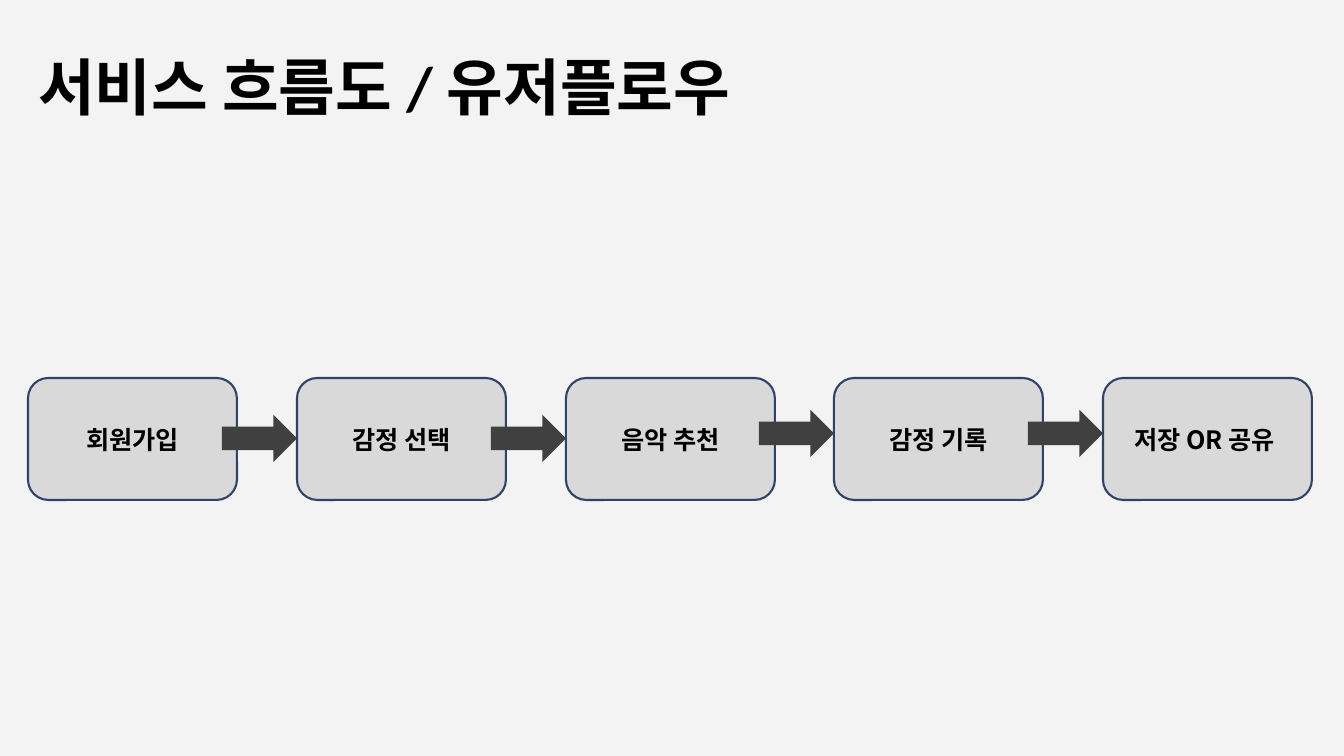
"""Build the service flow slide: a title and five steps joined by block arrows."""
from dataclasses import dataclass

from lxml.etree import SubElement
from pptx import Presentation
from pptx.dml.color import RGBColor
from pptx.enum.shapes import MSO_SHAPE
from pptx.enum.text import MSO_ANCHOR, MSO_AUTO_SIZE, PP_ALIGN
from pptx.oxml.ns import qn
from pptx.util import Emu, Pt


@dataclass(frozen=True)
class Theme:
    background: RGBColor = RGBColor(0xF3, 0xF3, 0xF3)
    step_fill: RGBColor = RGBColor(0xD9, 0xD9, 0xD9)
    step_line: RGBColor = RGBColor(0x30, 0x41, 0x6A)
    arrow: RGBColor = RGBColor(0x40, 0x40, 0x40)
    text: RGBColor = RGBColor(0, 0, 0)
    title_font: str = "Calibri"
    korean_font: str = "Noto Sans CJK KR"
    title_size: int = 44
    step_size: int = 18


def px(length):
    return Emu(round(length * 12192000 / 1344))


def write(shape, text, alignment, latin_font, size):
    frame = shape.text_frame
    frame.word_wrap = True
    frame.auto_size = MSO_AUTO_SIZE.NONE
    frame.vertical_anchor = MSO_ANCHOR.MIDDLE
    paragraph = frame.paragraphs[0]
    paragraph.alignment = alignment
    run = paragraph.add_run()
    run.text = text
    run.font.size = Pt(size)
    run.font.bold = True
    run.font.color.rgb = theme.text
    run.font.name = latin_font
    SubElement(run.font._element, qn("a:ea"), typeface=theme.korean_font)
    return paragraph


theme = Theme()
presentation = Presentation()
presentation.slide_width = px(1344)
presentation.slide_height = px(756)
slide = presentation.slides.add_slide(presentation.slide_layouts[5])
slide.background.fill.solid()
slide.background.fill.fore_color.rgb = theme.background

title = slide.shapes.title
title.left, title.top, title.width, title.height = px(28), px(28), px(1210), px(126)
heading = write(title, "서비스 흐름도 / 유저플로우", PP_ALIGN.LEFT, theme.title_font, theme.title_size)
heading.line_spacing = 0.9

steps = ["회원가입", "감정 선택", "음악 추천", "감정 기록", "저장 OR 공유 "]
step_lefts = [28 + round(index * 1075 / 4) for index in range(len(steps))]
for left, label in zip(step_lefts, steps):
    step = slide.shapes.add_shape(MSO_SHAPE.ROUNDED_RECTANGLE, px(left), px(378), px(209), px(122))
    step.shadow.inherit = False
    step.fill.solid()
    step.fill.fore_color.rgb = theme.step_fill
    step.line.color.rgb = theme.step_line
    step.line.width = Pt(1.5)
    write(step, label, PP_ALIGN.CENTER, theme.korean_font, theme.step_size)

arrow_tops = [415, 415, 410, 410]
for next_left, top in zip(step_lefts[1:], arrow_tops):
    arrow = slide.shapes.add_shape(MSO_SHAPE.RIGHT_ARROW, px(next_left - 75), px(top), px(75), px(47))
    arrow.shadow.inherit = False
    arrow.fill.solid()
    arrow.fill.fore_color.rgb = theme.arrow
    arrow.line.fill.background()

presentation.save("out.pptx")
